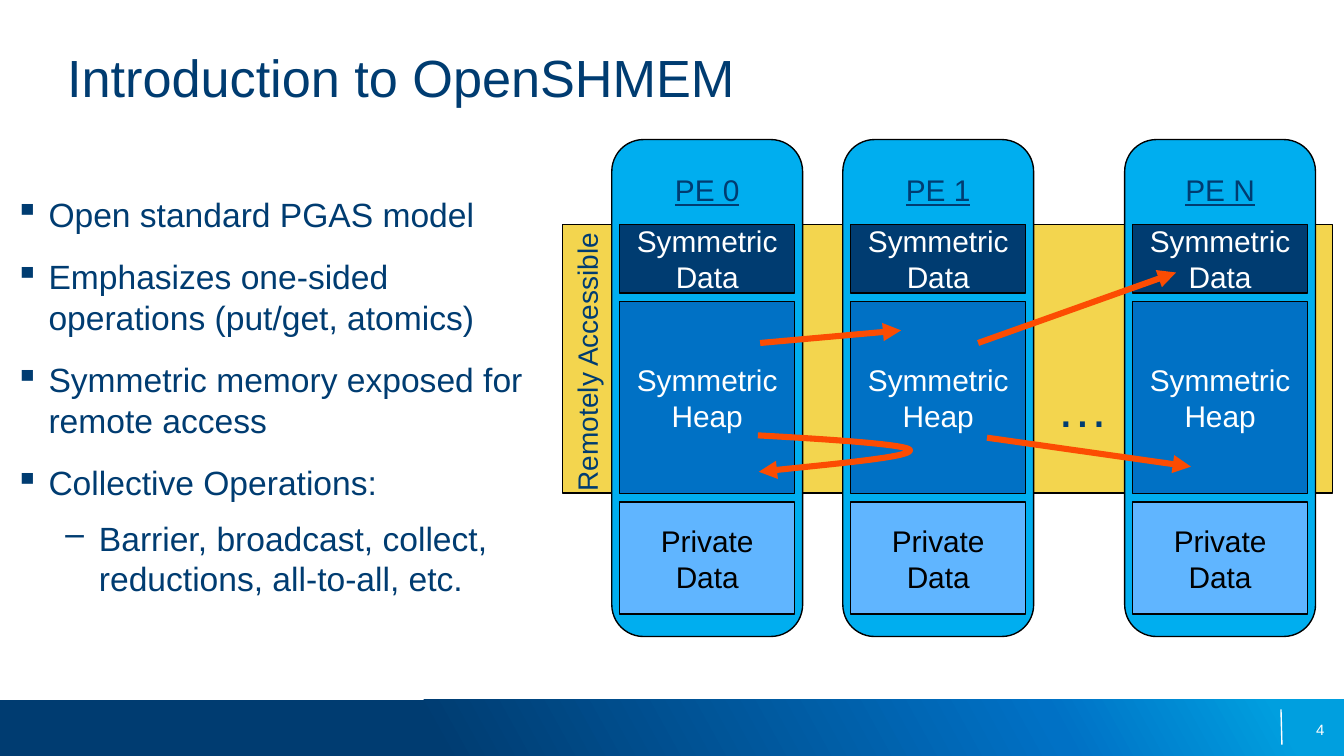
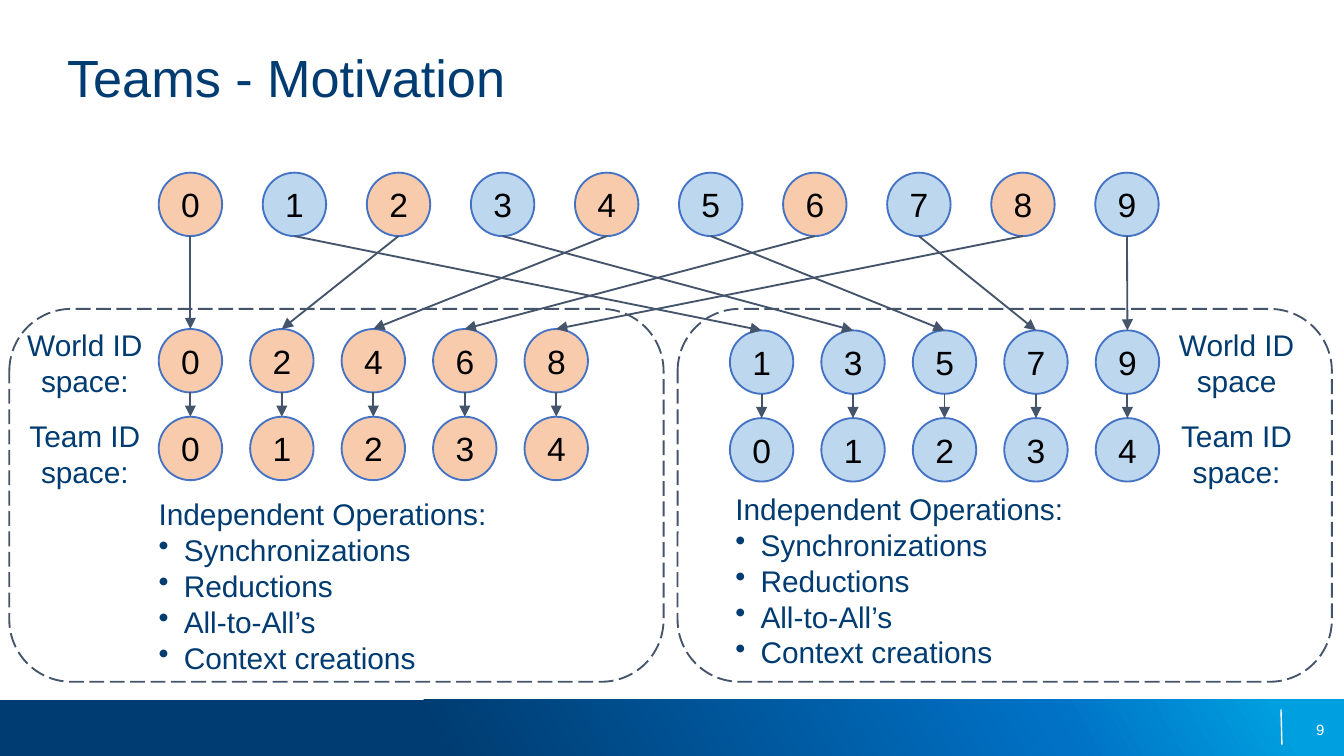
from copy import deepcopy

from lxml import etree
from pptx import Presentation
from pptx.dml.color import RGBColor
from pptx.enum import dml, shapes, text
from pptx.oxml.ns import qn
from pptx.util import Pt

FONT = "Arial"
NAVY, BLUE, SKY = "003C71", "0071C5", "009FDF"
CYAN, LIGHT_BLUE, GOLD, ORANGE = "00AEEF", "60B5FF", "F3D54E", "FC4C02"
PEACH, PALE_BLUE, RING, SLATE = "F8CBAD", "BDD7EE", "4472C4", "44546A"
BLACK, WHITE = "000000", "FFFFFF"

RECT = shapes.MSO_SHAPE.RECTANGLE
ROUNDED = shapes.MSO_SHAPE.ROUNDED_RECTANGLE
ELLIPSE = shapes.MSO_SHAPE.OVAL
LEFT, CENTER, RIGHT = text.PP_ALIGN.LEFT, text.PP_ALIGN.CENTER, text.PP_ALIGN.RIGHT
TOP, MIDDLE = text.MSO_ANCHOR.TOP, text.MSO_ANCHOR.MIDDLE


def color(value):
    return RGBColor.from_string(value)


class Deck:
    """Holds the style and the current slide."""

    def __init__(self):
        self.presentation = Presentation()
        self.presentation.slide_width = Pt(720)
        self.presentation.slide_height = Pt(405)
        self.slide = None

    def new_slide(self, title, number):
        layout = self.presentation.slide_layouts[6]
        self.slide = self.presentation.slides.add_slide(layout)
        # Footer band, divider and slide number
        band = self.shape(RECT, 0, 375, 720, 30)
        self.gradient(band, [(0.32, NAVY), (0.78, BLUE), (0.95, SKY)], 29)
        self.line((686.25, 380), (686.75, 399), WHITE, 0.75)
        self.text(541.5, 380, 168, 21.5, [str(number)], 8, WHITE, RIGHT, MIDDLE)
        # Title
        self.text(36, 24.5, 648, 68.5, [title], 28)

    def gradient(self, shape, stops, angle):
        shape.fill.gradient()
        shape.fill.gradient_angle = angle
        stop_list = shape._element.spPr.find(".//" + qn("a:gsLst"))
        stop_list.append(deepcopy(stop_list[0]))
        for stop, (position, value) in zip(shape.fill.gradient_stops, stops):
            stop.position = position
            stop.color.rgb = color(value)

    def outline(self, shape, value, width, arrow=False):
        shape.line.color.rgb = color(value)
        shape.line.width = Pt(width)
        if arrow:
            line = shape._element.spPr.find(qn("a:ln"))
            etree.SubElement(line, qn("a:tailEnd"), type="triangle")

    def shape(self, kind, left, top, width, height, fill=None, line=None,
              line_width=0.75, dash=None):
        shape = self.slide.shapes.add_shape(
            kind, Pt(left), Pt(top), Pt(width), Pt(height))
        shape.shadow.inherit = False
        if fill:
            shape.fill.solid()
            shape.fill.fore_color.rgb = color(fill)
        else:
            shape.fill.background()
        if line:
            self.outline(shape, line, line_width)
            shape.line.dash_style = dash
        else:
            shape.line.fill.background()
        return shape

    def labelled(self, kind, left, top, width, height, fill, line, line_width,
                 label, size, font_color):
        shape = self.shape(kind, left, top, width, height, fill, line, line_width)
        shape.text_frame.vertical_anchor = MIDDLE
        self.add_run(shape.text_frame.paragraphs[0], label, size, font_color, CENTER)

    def add_run(self, paragraph, words, size, font_color, align, underline=None):
        paragraph.alignment = align
        run = paragraph.add_run()
        run.text = words
        run.font.name = FONT
        run.font.size = Pt(size)
        run.font.color.rgb = color(font_color)
        run.font.underline = underline

    def text(self, left, top, width, height, lines, size, font_color=NAVY,
             align=LEFT, anchor=TOP, underline=None):
        """Each line is a string or (string, bullet, margin, hanging, space before)."""
        box = self.slide.shapes.add_textbox(Pt(left), Pt(top), Pt(width), Pt(height))
        frame = box.text_frame
        frame.word_wrap = True
        frame.vertical_anchor = anchor
        frame.margin_left = frame.margin_right = 0
        frame.margin_top = frame.margin_bottom = 0
        for index, line in enumerate(lines):
            paragraph = frame.add_paragraph() if index else frame.paragraphs[0]
            if isinstance(line, tuple):
                line, *bullet = line
                self.bullet(paragraph, *bullet)
            self.add_run(paragraph, line, size, font_color, align, underline)
        return box

    def bullet(self, paragraph, mark, margin, hanging, before):
        paragraph.space_before = Pt(before)
        properties = paragraph._p.get_or_add_pPr()
        properties.set("marL", str(Pt(margin)))
        properties.set("indent", str(-Pt(hanging)))
        etree.SubElement(properties, qn("a:buChar"), char=mark)

    def line(self, start, end, value, width, arrow=False):
        connector = self.slide.shapes.add_connector(
            shapes.MSO_CONNECTOR.STRAIGHT, *(Pt(n) for n in (*start, *end)))
        self.outline(connector, value, width, arrow)
        etree.SubElement(connector._element.spPr, qn("a:effectLst"))

    def curve_arrow(self, start, points, value, width):
        """Draw cubic curves; every three points are two controls and an end."""
        builder = self.slide.shapes.build_freeform(Pt(start[0]), Pt(start[1]))
        builder.add_line_segments([(Pt(x), Pt(y)) for x, y in points], close=False)
        shape = builder.convert_to_shape()
        shape.shadow.inherit = False
        shape.fill.background()
        self.outline(shape, value, width, arrow=True)
        outline_path = shape._element.spPr.find(".//" + qn("a:path"))
        segments = outline_path.findall(qn("a:lnTo"))
        for first in range(0, len(segments), 3):
            curve = etree.SubElement(outline_path, qn("a:cubicBezTo"))
            for segment in segments[first:first + 3]:
                curve.append(segment[0])
                outline_path.remove(segment)


def openshmem_slide(deck):
    deck.new_slide("Introduction to OpenSHMEM", 4)
    deck.shape(RECT, 301.5, 120.25, 412.5, 144, GOLD, BLACK)

    # Key points
    points = ["Open standard PGAS model",
              "Emphasizes one-sided operations (put/get, atomics)",
              "Symmetric memory exposed for remote access",
              "Collective Operations:"]
    lines = [(point, "▪", 18, 18, 12) for point in points]
    lines.append(("Barrier, broadcast, collect, reductions, all-to-all, etc.",
                  "–", 45, 18, 8))
    deck.text(8, 103.75, 284, 246, lines, 18)

    # Processing elements and their memory
    memory = [("Symmetric Data", 120.25, 36.75, NAVY, WHITE),
              ("Symmetric Heap", 161.5, 103, BLUE, WHITE),
              ("Private Data", 269, 60, LIGHT_BLUE, BLACK)]
    for name, left in (("PE 0", 327.75), ("PE 1", 451.5), ("PE N", 602.5)):
        deck.shape(ROUNDED, left, 74.75, 102.25, 266.25, CYAN, BLACK)
        for label, top, height, fill, font_color in memory:
            deck.labelled(RECT, left + 4.25, top, 93.75, height, fill, BLACK, 0.75,
                          label, 16, font_color)
        deck.text(left + 8, 92, 86.25, 19.5, [name], 16, align=CENTER, underline=True)

    deck.text(566, 201, 26.75, 34, ["…"], 28, align=CENTER)
    label = deck.text(244, 185, 140.5, 18, ["Remotely Accessible"], 15, align=CENTER)
    label.rotation = 270

    # Remote accesses
    for start, end in (((524, 183.75), (630, 146)),
                       ((528.75, 234.5), (638, 250)),
                       ((407.25, 183.75), (482.75, 177))):
        deck.line(start, end, ORANGE, 3.25, arrow=True)
    deck.curve_arrow((406, 233.25),
                     [(446.5, 235.5), (487.5, 238.25), (487.5, 241.25),
                      (487.5, 244.75), (447, 248.5), (406.5, 252.75)], ORANGE, 3.25)


def teams_slide(deck):
    deck.new_slide("Teams - Motivation", 9)
    size, first_left, world_top = 34, 85, 92.5
    world_step, team_step, row_step = 55.75, 49, 47

    def circle(left, top, fill, label):
        deck.labelled(ELLIPSE, left, top, size, size, fill, RING, 1,
                      str(label), 18, BLACK)

    def arrow(from_left, from_top, to_left, to_top):
        """Join the bottom of one circle to the top of another."""
        deck.line((from_left + size / 2, from_top + size),
                  (to_left + size / 2, to_top), SLATE, 1, arrow=True)

    # World of ten elements
    for world_id in range(10):
        circle(first_left + world_id * world_step, world_top,
               (PEACH, PALE_BLUE)[world_id % 2], world_id)

    # Even and odd teams: colour, first circle, row top, frame, labels, operations
    teams = [(PEACH, first_left, 176.25, 5, 7, "World ID space:", (85, 265.75)),
             (PALE_BLUE, 391, 177, 363, 624, "World ID space", (394, 263))]
    operations = ["Synchronizations", "Reductions", "All-to-All’s", "Context creations"]
    for parity, (fill, left, top, frame_left, label_left, world_label,
                 operations_at) in enumerate(teams):
        for team_id in range(5):
            world_id = 2 * team_id + parity
            team_left = left + team_id * team_step
            circle(team_left, top, fill, world_id)
            circle(team_left, top + row_step, fill, team_id)
            arrow(first_left + world_id * world_step, world_top, team_left, top)
            arrow(team_left, top, team_left, top + row_step)
        deck.shape(ROUNDED, frame_left, 165.5, 350.5, 199.75, None, SLATE, 1,
                   dml.MSO_LINE.LONG_DASH)
        deck.text(label_left, 175, 77, 39.5, [world_label], 16, align=CENTER)
        deck.text(label_left, 224, 77, 39.5, ["Team ID space:"], 16, align=CENTER)
        deck.text(*operations_at, 208, 91.5, ["Independent Operations:"]
                  + [(name, "•", 13.5, 13.5, 0) for name in operations], 16)


def main():
    deck = Deck()
    openshmem_slide(deck)
    teams_slide(deck)
    deck.presentation.save("out.pptx")


if __name__ == "__main__":
    main()
